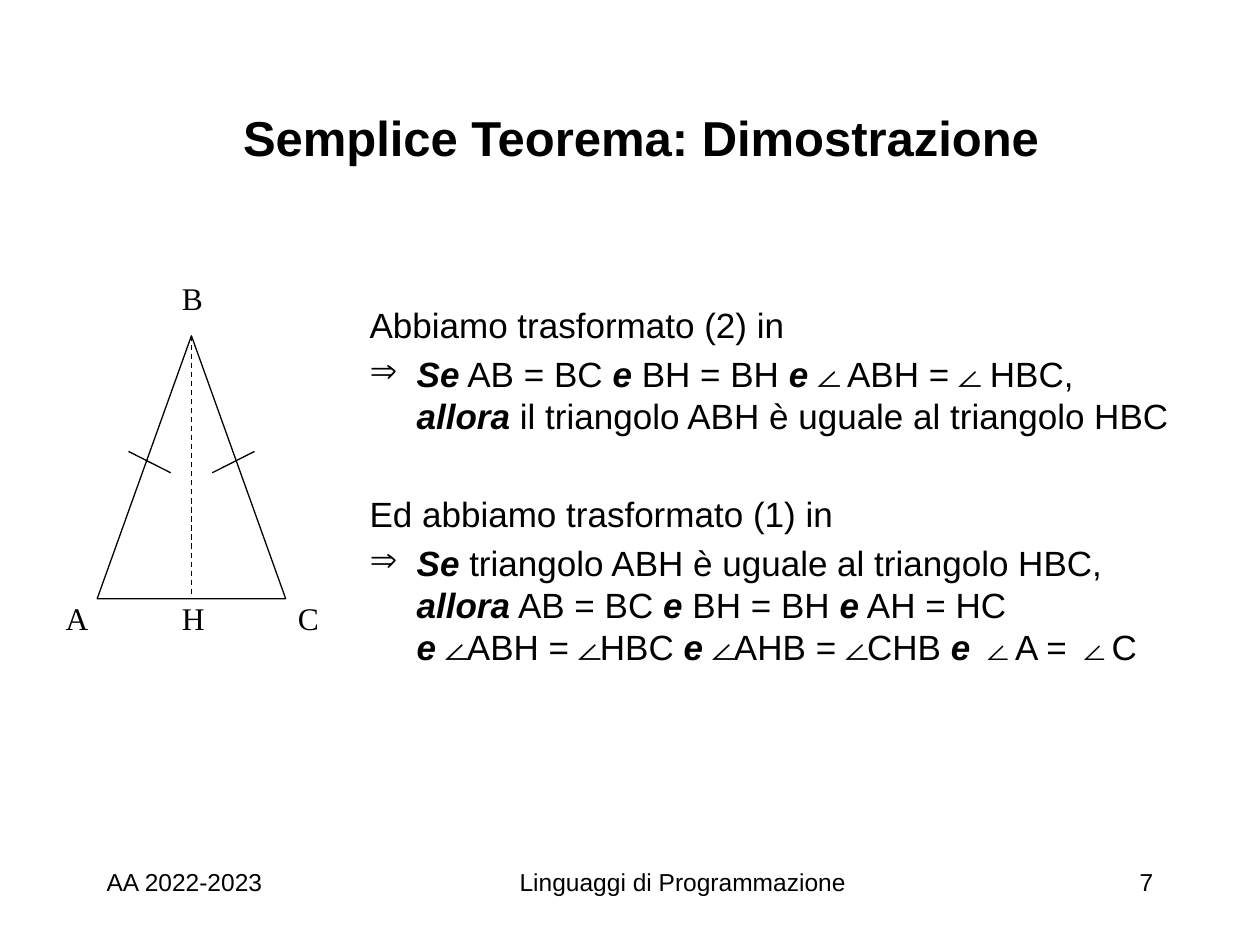
from lxml import etree
from pptx import Presentation
from pptx.dml.color import RGBColor
from pptx.enum.dml import MSO_LINE
from pptx.enum.shapes import MSO_CONNECTOR, MSO_SHAPE
from pptx.enum.text import MSO_ANCHOR, PP_ALIGN
from pptx.oxml.ns import qn
from pptx.util import Cm, Pt

LEFT, CENTER, RIGHT = PP_ALIGN.LEFT, PP_ALIGN.CENTER, PP_ALIGN.RIGHT
TOP, MIDDLE = MSO_ANCHOR.TOP, MSO_ANCHOR.MIDDLE
STRAIGHT = MSO_CONNECTOR.STRAIGHT
TRIANGLE = MSO_SHAPE.ISOSCELES_TRIANGLE
DASH = MSO_LINE.DASH

BLACK = "000000"
SANS, SERIF, MONO = "Arial", "Times New Roman", "Courier New"

TITLE = "Semplice Teorema: Dimostrazione"
FOOTERS = [
    ("AA 2022-2023", 1.9, 6.35, LEFT),
    ("Linguaggi di Programmazione", 8.05, 11.43, CENTER),
    ("7", 18.42, 5.08, RIGHT),
]

PLAIN, STRONG, ANGLE = "plain", "strong", "angle"
ANGLE_SIGN = ("∠", ANGLE)
AND = ("e ", STRONG)

PROOF = [
    (False, 0, [[("Abbiamo trasformato (2) in", PLAIN)]]),
    (True, 4, [
        [("Se", STRONG), (" AB = BC ", PLAIN), ("e", STRONG), (" BH = BH ", PLAIN), AND,
         ANGLE_SIGN, (" ABH = ", PLAIN), ANGLE_SIGN, (" HBC,", PLAIN)],
        [("allora", STRONG), (" il triangolo ABH è uguale al triangolo HBC", PLAIN)],
    ]),
    (False, 32, [[("Ed abbiamo trasformato (1) in", PLAIN)]]),
    (True, 4, [
        [("Se", STRONG), (" triangolo ABH è uguale al triangolo HBC,", PLAIN)],
        [("allora", STRONG), (" AB = BC ", PLAIN), ("e", STRONG), (" BH = BH ", PLAIN),
         ("e", STRONG), (" AH = HC", PLAIN)],
        [AND, ANGLE_SIGN, ("ABH = ", PLAIN), ANGLE_SIGN, ("HBC ", PLAIN),
         AND, ANGLE_SIGN, ("AHB = ", PLAIN), ANGLE_SIGN, ("CHB ", PLAIN),
         AND, ("∠A = ∠C", PLAIN)],
    ]),
]

APEX_X, APEX_Y = 3.86, 6.77
HALF_BASE, HEIGHT = 1.9, 5.3
BASE_Y = APEX_Y + HEIGHT
LABEL_WIDTH, LABEL_HEIGHT = 0.89, 1.02
LABELS = [
    ("A", APEX_X - 2.34, 11.96),
    ("H", APEX_X, 11.96),
    ("C", APEX_X + 2.34, 11.96),
    ("B", APEX_X, 5.51),
]
TICK_OUTER, TICK_INNER = (1.27, 9.1), (0.42, 9.53)


def color(value):
    return RGBColor.from_string(value)


def style_font(run, size, name=SANS, bold=False, italic=False):
    run.font.size = Pt(size)
    run.font.name = name
    run.font.bold = bold
    run.font.italic = italic
    run.font.color.rgb = color(BLACK)


def add_box(slide, left, top, width, height, anchor=TOP):
    box = slide.shapes.add_textbox(Cm(left), Cm(top), Cm(width), Cm(height))
    box.text_frame.word_wrap = True
    box.text_frame.vertical_anchor = anchor
    return box.text_frame


def add_label(slide, text, place, size, alignment=LEFT, name=SANS, bold=False, anchor=TOP):
    frame = add_box(slide, *place, anchor)
    frame.text = text
    paragraph = frame.paragraphs[0]
    paragraph.alignment = alignment
    style_font(paragraph.runs[0], size, name, bold)


def set_line(shape, dash=None):
    shape.line.color.rgb = color(BLACK)
    shape.line.width = Pt(0.75)
    if dash:
        shape.line.dash_style = dash


def add_line(slide, start, end, dash=None):
    points = [Cm(value) for value in (*start, *end)]
    connector = slide.shapes.add_connector(STRAIGHT, *points)
    set_line(connector, dash)
    etree.SubElement(connector._element.spPr, qn("a:effectLst"))


def add_bullet(paragraph):
    properties = paragraph._p.get_or_add_pPr()
    properties.set("marL", str(Cm(0.95)))
    properties.set("indent", str(-Cm(0.95)))
    etree.SubElement(properties, qn("a:buChar")).set("char", "⇒")


def add_proof(slide):
    frame = add_box(slide, 7.2, 6, 17.57, 9.65)
    for index, (bulleted, space, lines) in enumerate(PROOF):
        paragraph = frame.add_paragraph() if index else frame.paragraphs[0]
        paragraph.line_spacing = Pt(24)
        paragraph.space_before = Pt(space)
        if bulleted:
            add_bullet(paragraph)
        for number, line in enumerate(lines):
            if number:
                paragraph.add_line_break()
            for text, style in line:
                run = paragraph.add_run()
                run.text = text
                strong = style == STRONG
                style_font(run, 20, MONO if style == ANGLE else SANS, strong, strong)


def add_figure(slide):
    triangle = slide.shapes.add_shape(
        TRIANGLE, Cm(APEX_X - HALF_BASE), Cm(APEX_Y), Cm(2 * HALF_BASE), Cm(HEIGHT))
    triangle.shadow.inherit = False
    triangle.fill.background()
    set_line(triangle)
    for side in (-1, 1):
        ends = [(APEX_X + side * offset, y) for offset, y in (TICK_OUTER, TICK_INNER)]
        add_line(slide, *ends)
    add_line(slide, (APEX_X, APEX_Y), (APEX_X, BASE_Y), DASH)
    for text, center, top in LABELS:
        place = (center - LABEL_WIDTH / 2, top, LABEL_WIDTH, LABEL_HEIGHT)
        add_label(slide, text, place, 18, CENTER, SERIF)


def main():
    presentation = Presentation()
    presentation.slide_width, presentation.slide_height = Cm(25.4), Cm(19.05)
    slide = presentation.slides.add_slide(presentation.slide_layouts[6])
    for text, left, width, alignment in FOOTERS:
        add_label(slide, text, (left, 17.35, width, 1.27), 14, alignment)
    add_label(slide, TITLE, (4.65, 1.7, 18.85, 2.12), 28, bold=True, anchor=MIDDLE)
    add_proof(slide)
    add_figure(slide)
    presentation.save("out.pptx")


if __name__ == "__main__":
    main()
